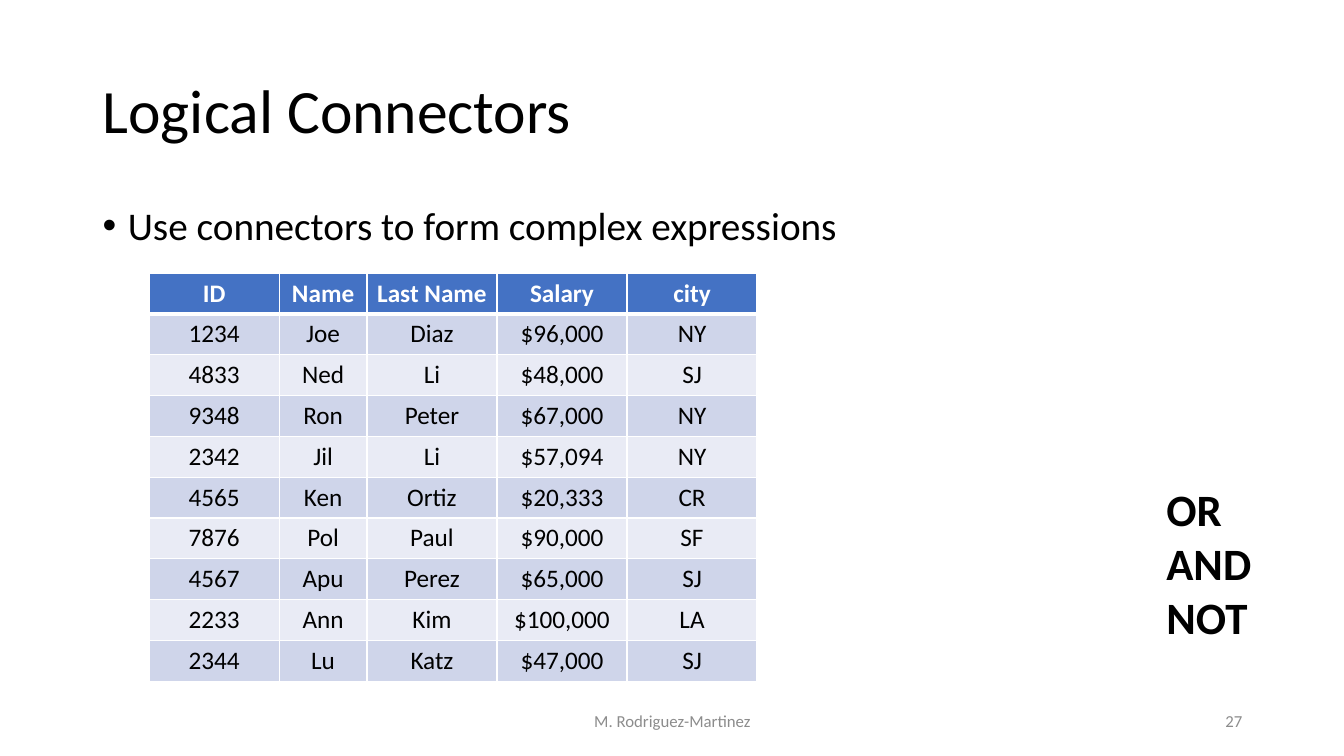
"""Build a slide on logical connectors with an employee table."""
from lxml.etree import SubElement
from pptx import Presentation
from pptx.dml.color import RGBColor
from pptx.enum.text import MSO_ANCHOR as Anchor, PP_ALIGN as Align
from pptx.oxml.ns import qn
from pptx.util import Inches, Pt

BLACK = RGBColor(0x00, 0x00, 0x00)
WHITE = RGBColor(0xFF, 0xFF, 0xFF)
GRAY = RGBColor(0x8C, 0x8C, 0x8C)
HEADER_BLUE = RGBColor(0x44, 0x72, 0xC4)
BANDS = (RGBColor(0xE9, 0xEB, 0xF5), RGBColor(0xCF, 0xD5, 0xEA))

COLUMN_WIDTHS = (1.29, 0.87, 1.29, 1.29, 1.29)
EMPLOYEES = (
    ("ID", "Name", "Last Name", "Salary", "city"),
    ("1234", "Joe", "Diaz", "$96,000", "NY"),
    ("4833", "Ned", "Li", "$48,000", "SJ"),
    ("9348", "Ron", "Peter", "$67,000", "NY"),
    ("2342", "Jil", "Li", "$57,094", "NY"),
    ("4565", "Ken", "Ortiz", "$20,333", "CR"),
    ("7876", "Pol", "Paul", "$90,000", "SF"),
    ("4567", "Apu", "Perez", "$65,000", "SJ"),
    ("2233", "Ann", "Kim", "$100,000", "LA"),
    ("2344", "Lu", "Katz", "$47,000", "SJ"),
)


def write(para, text, size=18, color=BLACK, bold=False, align=Align.LEFT, spacing=None):
    """Write formatted text into a paragraph."""
    para.alignment = align
    if spacing:
        para.line_spacing = spacing
    span = para.add_run()
    span.text = text
    span.font.name = "Calibri"
    span.font.size = Pt(size)
    span.font.bold = bold
    span.font.color.rgb = color


def add_text(page, box, lines, anchor=Anchor.TOP, **style):
    """Add a text box with one paragraph per line and return its paragraphs."""
    frame = page.shapes.add_textbox(*map(Inches, box)).text_frame
    frame.word_wrap = True
    frame.vertical_anchor = anchor
    for _ in lines[1:]:
        frame.add_paragraph()
    for para, line in zip(frame.paragraphs, lines):
        write(para, line, **style)
    return frame.paragraphs


def add_bullet(para, indent):
    """Give a paragraph a hanging round bullet."""
    properties = para._p.get_or_add_pPr()
    properties.set("marL", str(Inches(indent)))
    properties.set("indent", str(-Inches(indent)))
    SubElement(properties, qn("a:buFont"), typeface="Arial")
    SubElement(properties, qn("a:buChar"), char="•")


def add_borders(cell, bottom, top):
    """Draw white borders around a cell."""
    properties = cell._tc.get_or_add_tcPr()
    for side, width in (("L", 1), ("R", 1), ("T", top), ("B", bottom)):
        line = SubElement(properties, qn(f"a:ln{side}"), w=str(Pt(width)))
        fill = SubElement(line, qn("a:solidFill"))
        SubElement(fill, qn("a:srgbClr"), val=str(WHITE))


def add_employees(page, box):
    """Add the banded employee table."""
    frame = page.shapes.add_table(len(EMPLOYEES), len(COLUMN_WIDTHS), *map(Inches, box))
    table = frame.table
    for column, width in zip(table.columns, COLUMN_WIDTHS):
        column.width = Inches(width)
    for row, values in enumerate(EMPLOYEES):
        header = row == 0
        for column, value in enumerate(values):
            cell = table.cell(row, column)
            add_borders(cell, bottom=3 if header else 1, top=3 if row == 1 else 1)
            cell.fill.solid()
            cell.fill.fore_color.rgb = HEADER_BLUE if header else BANDS[row % 2]
            write(cell.text_frame.paragraphs[0], value, bold=header,
                  color=WHITE if header else BLACK, align=Align.CENTER)


def add_heading(page, box):
    """Add the slide title."""
    add_text(page, box, ["Logical Connectors"], anchor=Anchor.MIDDLE, size=44, spacing=0.9)


def add_body(page, box):
    """Add the bulleted statement."""
    para, = add_text(page, box, ["Use connectors to form complex expressions"],
                     size=28, spacing=0.9)
    para.space_before = Pt(10)
    add_bullet(para, 0.25)


def add_footer(page, box):
    """Add the author in the middle and the page number on the right."""
    left, top, width, height = box
    style = {"anchor": Anchor.MIDDLE, "size": 12, "color": GRAY}
    add_text(page, (left + 3.5, top, 4.5, height), ["M. Rodriguez-Martinez"],
             align=Align.CENTER, **style)
    add_text(page, (left + width - 3, top, 3, height), ["27"], align=Align.RIGHT, **style)


def main():
    """Build and save the deck."""
    deck = Presentation()
    deck.slide_width, deck.slide_height = Inches(13.33), Inches(7.5)
    page = deck.slides.add_slide(deck.slide_layouts[6])
    add_heading(page, (0.92, 0.4, 11.5, 1.45))
    add_body(page, (0.92, 2, 11.5, 4.76))
    add_employees(page, (1.48, 2.71, 6.04, 4.05))
    add_text(page, (11.47, 4.73, 1.7, 1.72), ["OR", "AND", "NOT"], size=32, bold=True)
    add_footer(page, (0.92, 6.95, 11.5, 0.4))
    deck.save("out.pptx")


if __name__ == "__main__":
    main()
